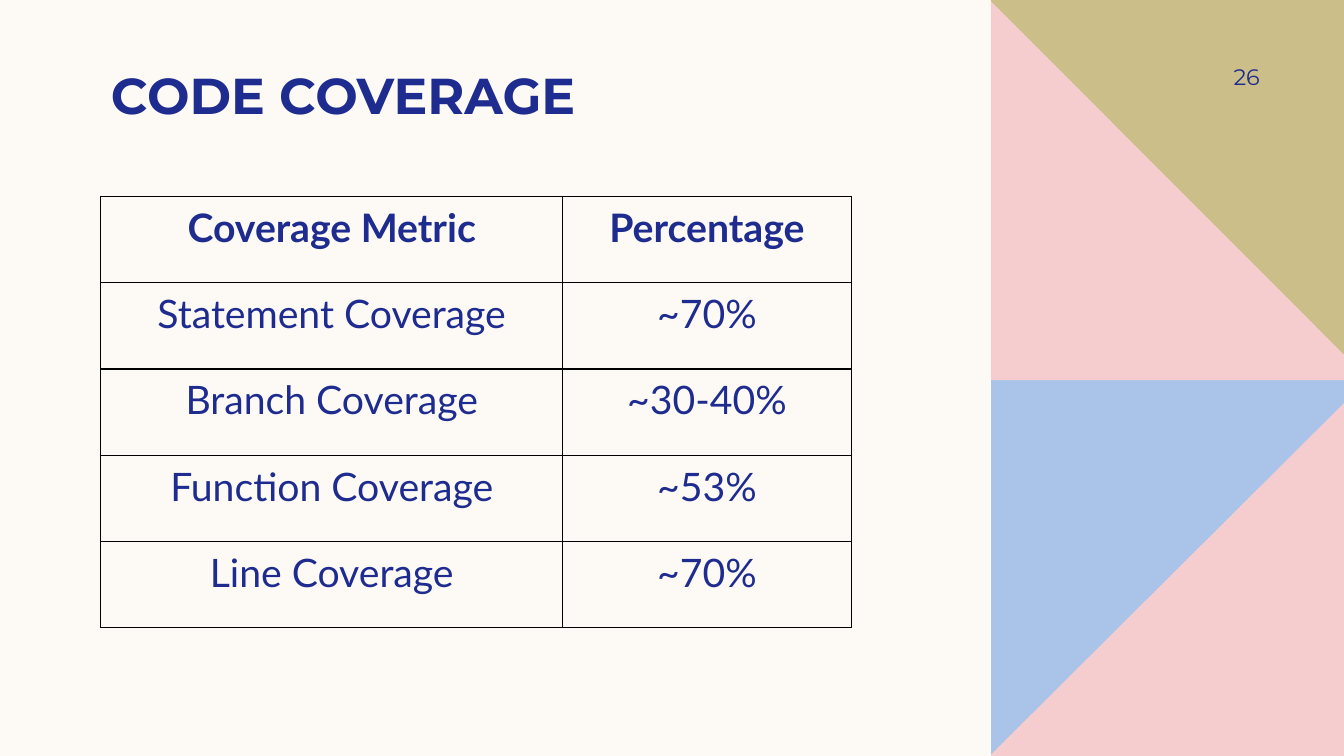
from lxml import etree
from pptx import Presentation
from pptx.dml.color import RGBColor
from pptx.enum import text
from pptx.oxml.ns import qn
from pptx.util import Cm, Pt

NAVY = "1F2C8F"
PINK = "F5CDCE"


def color(value):
    return RGBColor.from_string(value)


def add_run(paragraph, words, font, size, bold=False):
    run = paragraph.add_run()
    run.text = words
    run.font.name = font
    run.font.size = Pt(size)
    run.font.bold = bold
    run.font.color.rgb = color(NAVY)


deck = Presentation()
deck.slide_width = Cm(33.87)
deck.slide_height = Cm(19.05)
slide = deck.slides.add_slide(deck.slide_layouts[5])
slide.background.fill.solid()
slide.background.fill.fore_color.rgb = color("FDFAF6")

left, right, bottom = 24.97, 33.87, 19.05
panels = [
    ("AAC3E8", [(left, 9.53), (right, 9.53), (right, bottom), (left, bottom)]),
    (PINK, [(right, 10.16), (right, bottom), (left, bottom), (left, 19.02)]),
    ("CCBE89", [(left, 0), (right, 0), (right, 9.55), (left, 9.55)]),
    (PINK, [(left, 0.03), (right, 8.94), (right, 9.58), (left, 9.58)]),
]
for tint, corners in panels:
    points = [(Cm(x), Cm(y)) for x, y in corners]
    outline = slide.shapes.build_freeform(*points[0])
    outline.add_line_segments(points[1:], close=True)
    panel = outline.convert_to_shape()
    panel.shadow.inherit = False
    panel.fill.solid()
    panel.fill.fore_color.rgb = color(tint)
    panel.line.fill.background()

heading = slide.shapes.title
heading.left, heading.top, heading.width, heading.height = Cm(2.54), Cm(1.27), Cm(21.67), Cm(1.88)
heading_frame = heading.text_frame
heading_frame.auto_size = text.MSO_AUTO_SIZE.NONE
heading_frame.vertical_anchor = text.MSO_ANCHOR.BOTTOM
heading_frame.margin_top = heading_frame.margin_bottom = 0
heading_frame.paragraphs[0].alignment = text.PP_ALIGN.LEFT
add_run(heading_frame.paragraphs[0], "CODE COVERAGE", "Montserrat", 36, True)

page_number = slide.shapes.add_textbox(Cm(29.01), Cm(1.27), Cm(2.74), Cm(1.32)).text_frame
page_number.word_wrap = True
page_number.vertical_anchor = text.MSO_ANCHOR.MIDDLE
page_number.margin_right = 0
page_number.paragraphs[0].alignment = text.PP_ALIGN.RIGHT
add_run(page_number.paragraphs[0], "26", "Montserrat", 16)

metrics = [
    ("Coverage Metric", "Percentage"),
    ("Statement Coverage", "~70%"),
    ("Branch Coverage", "~30-40%"),
    ("Function Coverage", "~53%"),
    ("Line Coverage", "~70%"),
]
coverage = slide.shapes.add_table(len(metrics), 2, Cm(2.54), Cm(4.95), Cm(18.91), Cm(10.87)).table
coverage.horz_banding = False
coverage.columns[0].width = Cm(11.64)
coverage.columns[1].width = Cm(7.27)
for row, entries in enumerate(metrics):
    coverage.rows[row].height = Cm(2.174)
    for column, entry in enumerate(entries):
        cell = coverage.cell(row, column)
        cell.margin_left = cell.margin_right = cell.margin_top = cell.margin_bottom = Cm(0.18)
        cell.text_frame.paragraphs[0].alignment = text.PP_ALIGN.CENTER
        cell.text_frame.paragraphs[0].space_after = Pt(12)
        add_run(cell.text_frame.paragraphs[0], entry, "Lato", 28, row == 0)
        properties = cell._tc.get_or_add_tcPr()
        for side in ("a:lnL", "a:lnR", "a:lnT", "a:lnB"):
            border = etree.SubElement(properties, qn(side), w=str(Pt(1)))
            ink = etree.SubElement(border, qn("a:solidFill"))
            etree.SubElement(ink, qn("a:srgbClr"), val="000000")
        cell.fill.background()

deck.save("out.pptx")
